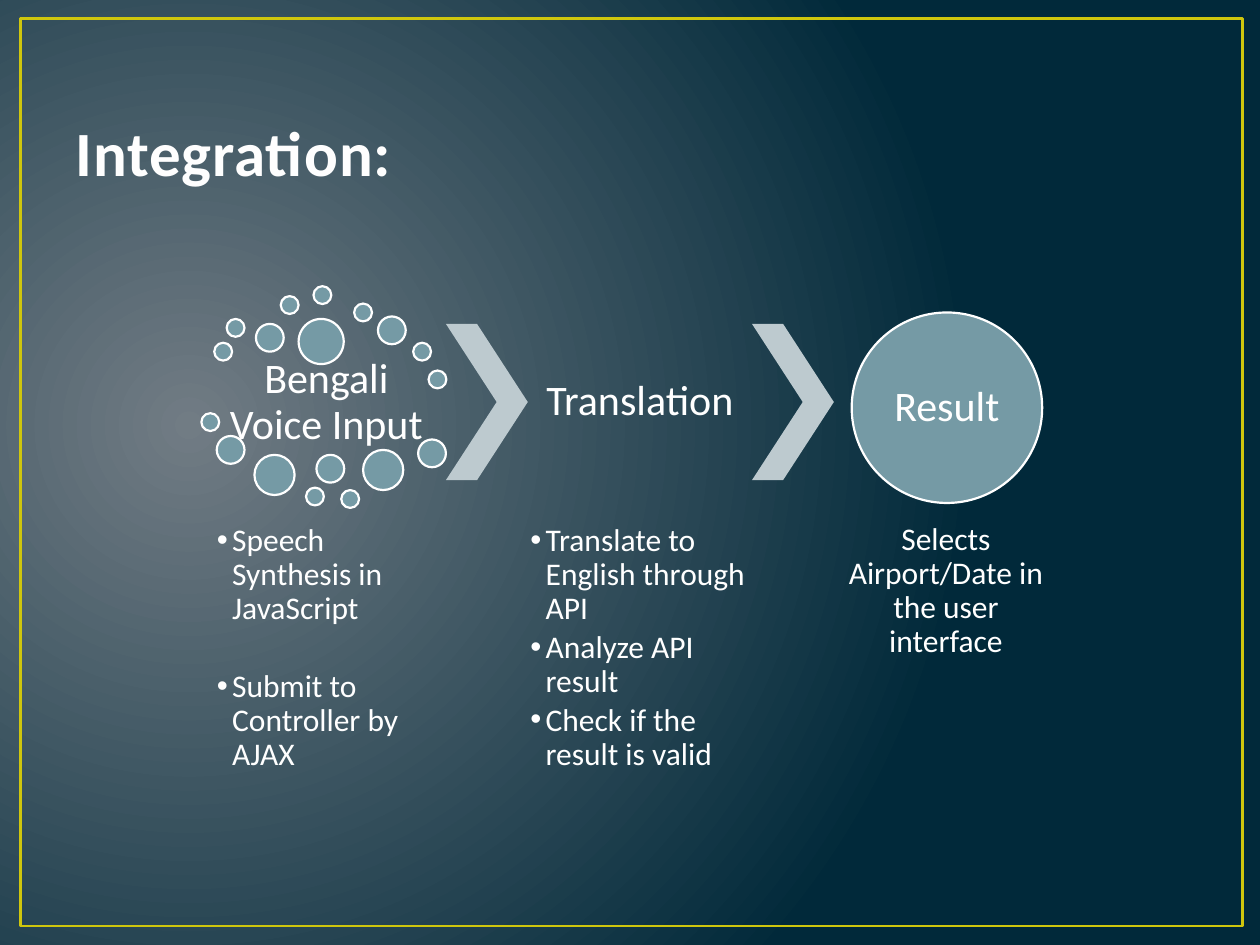
from pptx import Presentation
from pptx.dml.color import RGBColor
from pptx.enum.shapes import MSO_SHAPE as Kind
from pptx.enum.text import MSO_ANCHOR as Anchor, MSO_AUTO_SIZE as Fit, PP_ALIGN as Align
from pptx.oxml.ns import qn
from pptx.oxml.xmlchemy import OxmlElement as Node
from pptx.util import Cm, Pt

FONT = "Calibri"
WHITE = RGBColor(0xFF, 0xFF, 0xFF)
CREAM = RGBColor(0xFE, 0xFE, 0xFE)
GREY = RGBColor(0x71, 0x7C, 0x84)
NAVY = RGBColor(0x01, 0x29, 0x3A)
GOLD = RGBColor(0xCF, 0xC6, 0x0D)
TEAL = RGBColor(0x75, 0x9A, 0xA5)
PALE = RGBColor(0xBD, 0xCA, 0xCF)

COLS = (4.32, 10.64, 16.81)
WIDE = 4.52
ROW = 6.53
TALL = 3.15
LIST_TOP = 10.52
LIST_TALL = 2.79
PAD = 0.05

BUBBLES = {
    0.36: [(4.32, 6.91), (4.57, 6.43), (5.66, 5.97), (6.32, 5.77), (7.14, 6.12), (8.33, 6.91),
           (8.64, 7.47), (4.06, 8.33), (6.17, 9.83), (6.88, 9.88)],
    0.56: [(5.16, 6.53), (7.62, 6.38), (4.37, 8.79), (6.38, 9.17), (8.43, 8.86)],
    0.81: [(5.13, 9.17), (7.32, 9.07)],
    0.91: [(6.02, 6.43)],
}
LISTS = (
    [("Speech Synthesis in JavaScript", 25), ("Submit to Controller by AJAX", 2.7)],
    [("Translate to English through API", 2.7), ("Analyze API result", 2.7),
     ("Check if the result is valid", 2.7)],
)


def paint(slide):
    """Fill the background with a round gradient."""
    fill = slide.background.fill
    fill.gradient()
    for stop, tint, spot in zip(fill.gradient_stops, (GREY, NAVY), (0, 1)):
        stop.color.rgb = tint
        stop.position = spot
    grad = slide.element.find(".//" + qn("a:gradFill"))
    ray = Node("a:path")
    ray.set("path", "circle")
    rect = Node("a:fillToRect")
    for side, share in zip("ltrb", (15, 50, 85, 60)):
        rect.set(side, str(share * 1000))
    ray.append(rect)
    grad.replace(grad.find(qn("a:lin")), ray)


def draw(slide, kind, box, fill=None, line=None, width=1.25):
    """Add a flat preset shape."""
    shape = slide.shapes.add_shape(kind, *map(Cm, box))
    shape.shadow.inherit = False
    if fill is None:
        shape.fill.background()
    else:
        shape.fill.solid()
        shape.fill.fore_color.rgb = fill
    if line is None:
        shape.line.fill.background()
    else:
        shape.line.color.rgb = line
        shape.line.width = Pt(width)
    return shape


def place(shape, box):
    """Move a placeholder to a box."""
    shape.left, shape.top, shape.width, shape.height = map(Cm, box)


def frame(shape, pad, anchor):
    """Set up the text frame of a shape."""
    text = shape.text_frame
    text.word_wrap = True
    text.auto_size = Fit.NONE
    text.vertical_anchor = anchor
    text.margin_left = text.margin_right = text.margin_top = text.margin_bottom = Cm(pad)
    return text


def style(par, size, align, after):
    """Format a paragraph of the diagram."""
    par.alignment = align
    par.line_spacing = 0.9
    par.space_before = Pt(0)
    par.space_after = Pt(after)
    par.font.name = FONT
    par.font.size = Pt(size)
    par.font.color.rgb = WHITE


def write(shape, words, size=24, pad=PAD):
    """Put centred words into a shape."""
    par = frame(shape, pad, Anchor.MIDDLE).paragraphs[0]
    par.text = words
    style(par, size, Align.CENTER, 0)


def label(slide, words, box, size=24):
    """Add a centred text box."""
    write(slide.shapes.add_textbox(*map(Cm, box)), words, size)


def bullets(shape, items, left):
    """Fill a body placeholder with a bullet list."""
    place(shape, (left, LIST_TOP, WIDE, LIST_TALL))
    text = frame(shape, PAD, Anchor.TOP)
    for num, (words, after) in enumerate(items):
        par = text.add_paragraph() if num else text.paragraphs[0]
        par.text = words
        par.level = 1
        style(par, 18, Align.LEFT, after)
        props = par._p.get_or_add_pPr()
        props.set("marL", str(Cm(0.31)))
        props.set("indent", str(Cm(-0.31)))
        mark = Node("a:buChar")
        mark.set("char", "•")
        props.insert_element_before(mark, "a:tabLst", "a:defRPr", "a:extLst")


def head(shape, words):
    """Write the slide title."""
    place(shape, (1.27, 0.76, 22.86, 3.18))
    text = shape.text_frame
    text.vertical_anchor = Anchor.BOTTOM
    par = text.paragraphs[0]
    par.text = words
    par.alignment = Align.LEFT
    par.font.name = FONT
    par.font.size = Pt(36)
    par.font.bold = True
    par.font.color.rgb = CREAM
    par.runs[0]._r.get_or_add_rPr().set("spc", "50")


def main():
    """Build and save the slide."""
    deck = Presentation()
    deck.slide_width, deck.slide_height = Cm(25.4), Cm(19.05)
    slide = deck.slides.add_slide(deck.slide_layouts[3])
    paint(slide)
    draw(slide, Kind.RECTANGLE, (0.41, 0.38, 24.64, 18.29), line=GOLD, width=1.5)
    head(slide.shapes.title, "Integration:")
    for num, (items, left) in enumerate(zip(LISTS, COLS), 1):
        bullets(slide.placeholders[num], items, left)
    label(slide, "Bengali Voice Input", (COLS[0], 7.37, WIDE, 1.5))
    for size, spots in BUBBLES.items():
        for left, top in spots:
            draw(slide, Kind.OVAL, (left, top, size, size), TEAL, WHITE)
    for left in (8.99, 15.16):
        arrow = draw(slide, Kind.CHEVRON, (left, ROW, 1.65, TALL), PALE)
        arrow.adjustments[0] = 0.62
    label(slide, "Translation", (COLS[1], ROW, WIDE, TALL))
    disc = draw(slide, Kind.OVAL, (17.17, 6.3, 3.84, 3.84), TEAL, WHITE)
    write(disc, "Result", pad=0)
    label(slide, "Selects Airport/Date in the user interface",
          (COLS[2], LIST_TOP, WIDE, LIST_TALL), 18)
    deck.save("out.pptx")


if __name__ == "__main__":
    main()
